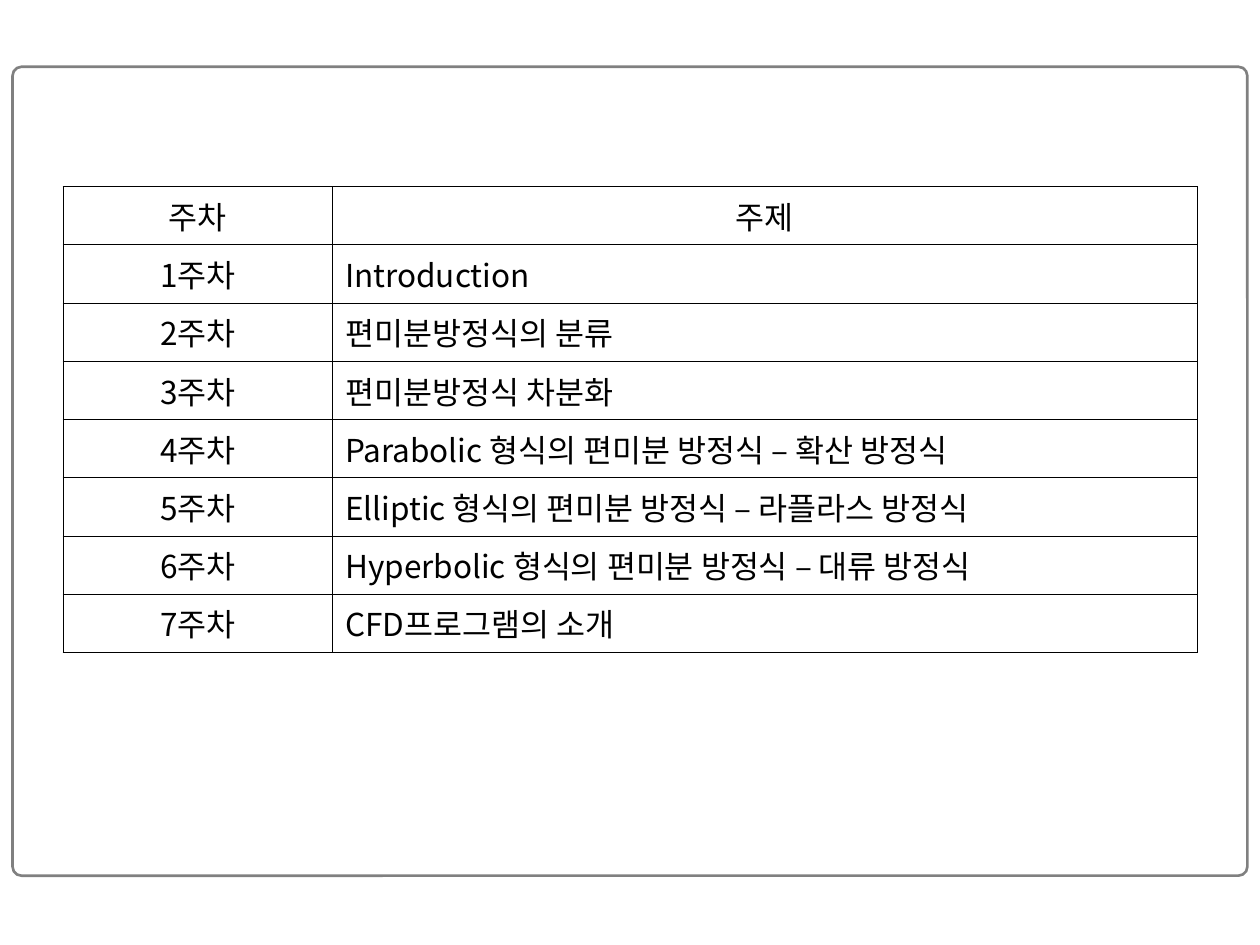
from pptx import Presentation
from pptx.dml.color import RGBColor
from pptx.enum.shapes import MSO_SHAPE
from pptx.enum.text import MSO_ANCHOR, PP_ALIGN
from pptx.oxml import parse_xml
from pptx.oxml.ns import nsdecls
from pptx.util import Inches, Pt

BLACK = RGBColor(0, 0, 0)
GRAY = RGBColor(0x80, 0x80, 0x80)
FACE = "Noto Sans CJK KR"
TOPICS = [
    "Introduction",
    "편미분방정식의 분류",
    "편미분방정식 차분화",
    "Parabolic 형식의 편미분 방정식 – 확산 방정식",
    "Elliptic 형식의 편미분 방정식 – 라플라스 방정식",
    "Hyperbolic 형식의 편미분 방정식 – 대류 방정식",
    "CFD프로그램의 소개",
]


class Deck:
    style = {"name": FACE, "size": Pt(18), "bold": False}
    edge = Pt(0.45)

    def __init__(self):
        self.prs = Presentation()
        self.prs.slide_width = Inches(10)
        self.prs.slide_height = Inches(7.5)
        self.slide = self.prs.slides.add_slide(self.prs.slide_layouts[6])

    def frame(self, left, top, width, height):
        box = self.slide.shapes.add_shape(
            MSO_SHAPE.ROUNDED_RECTANGLE,
            *map(Inches, (left, top, width, height)))
        box.adjustments[0] = 0.011
        box.shadow.inherit = False
        box.fill.background()
        box.line.color.rgb = GRAY
        box.line.width = Pt(1.5)

    def border(self, cell):
        props = cell._tc.get_or_add_tcPr()
        for spot, side in enumerate("LRTB"):
            props.insert(spot, parse_xml(
                f'<a:ln{side} {nsdecls("a")} w="{self.edge}"><a:solidFill>'
                f'<a:srgbClr val="{BLACK}"/></a:solidFill></a:ln{side}>'))

    def label(self, cell, text, align):
        para = cell.text_frame.paragraphs[0]
        para.alignment = align
        run = para.add_run()
        run.text = text
        for key, value in self.style.items():
            setattr(run.font, key, value)
        run.font.color.rgb = BLACK
        run._r.get_or_add_rPr().append(
            parse_xml(f'<a:ea {nsdecls("a")} typeface="{FACE}"/>'))

    def table(self, rows, left, top, widths, height):
        grid = self.slide.shapes.add_table(
            len(rows), len(widths), Inches(left), Inches(top),
            Inches(sum(widths)), Inches(height)).table
        grid.first_row = False
        grid.horz_banding = False
        for col, width in zip(grid.columns, widths):
            col.width = Inches(width)
        for r, row in enumerate(rows):
            for c, text in enumerate(row):
                cell = grid.cell(r, c)
                head = r == 0
                cell.fill.background()
                cell.vertical_anchor = MSO_ANCHOR.MIDDLE if head else MSO_ANCHOR.TOP
                self.border(cell)
                mid = head or c == 0
                self.label(cell, text, PP_ALIGN.CENTER if mid else PP_ALIGN.LEFT)


def main():
    deck = Deck()
    deck.frame(0.1, 0.53, 9.8, 6.42)
    rows = [("주차", "주제")]
    rows += [(f"{week}주차", topic) for week, topic in enumerate(TOPICS, 1)]
    deck.table(rows, 0.5, 1.48, (2.14, 6.86), 3.24)
    deck.prs.save("out.pptx")


if __name__ == "__main__":
    main()
